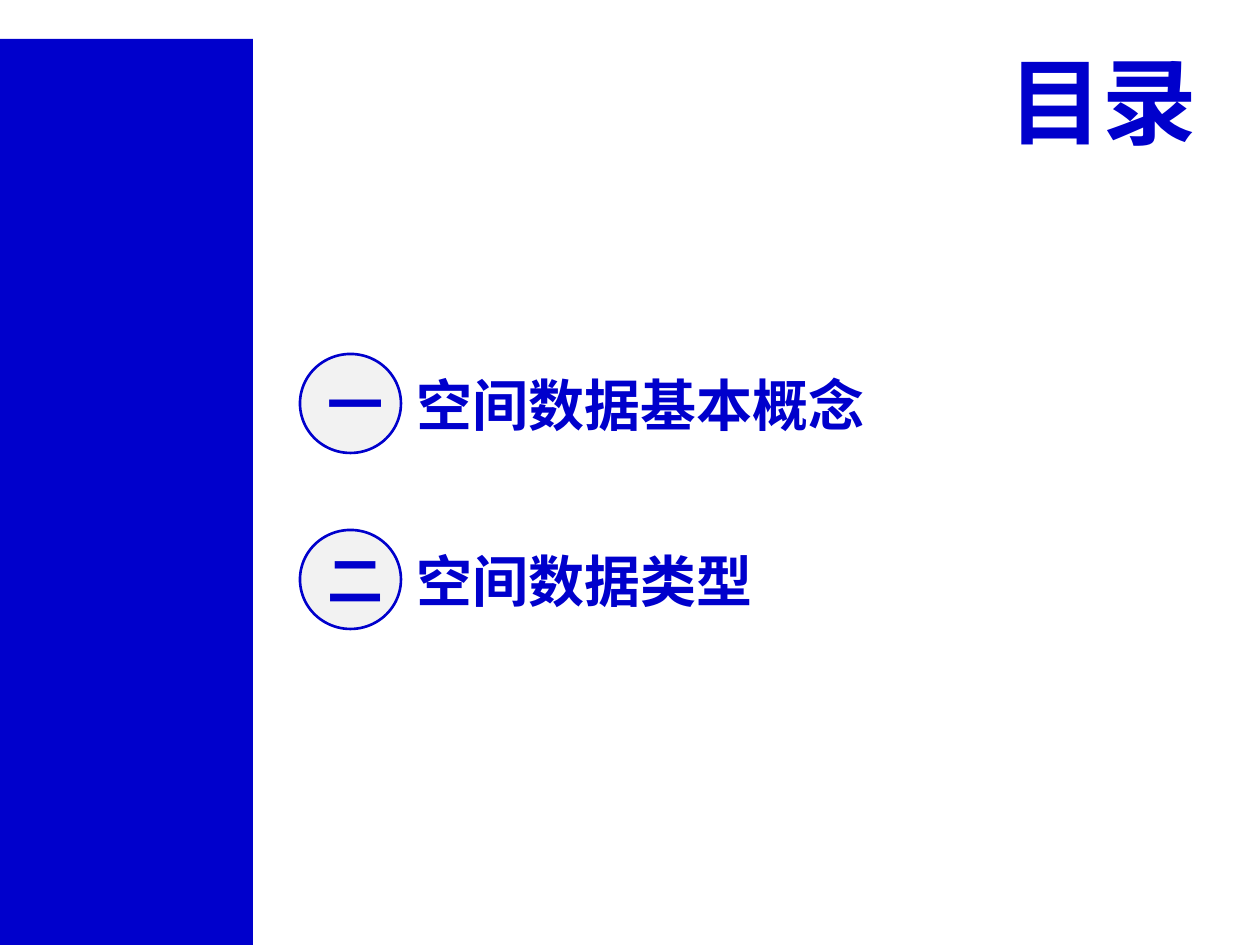
"""Build a contents slide with a side bar, a title and numbered topics."""
import pptx
import pptx.dml.color
import pptx.enum.shapes
import pptx.enum.text
import pptx.oxml.ns
import pptx.util
import lxml.etree

PX = 914400 // 126
THEME = {
    "blue": pptx.dml.color.RGBColor.from_string("0000CC"),
    "pale": pptx.dml.color.RGBColor.from_string("F2F2F2"),
    "latin": "Arial",
    "cjk": "Noto Sans CJK SC",
    "title": pptx.util.Pt(54),
    "topic": pptx.util.Pt(32),
    "outline": pptx.util.Pt(1.5),
}
ALIGN = pptx.enum.text.PP_ALIGN
ANCHOR = pptx.enum.text.MSO_ANCHOR
SHAPE = pptx.enum.shapes.MSO_SHAPE


def px(*lengths):
    return [length * PX for length in lengths]


def write(holder, wording, size, face, align, anchor):
    frame = holder.text_frame
    frame_format = {
        "word_wrap": True,
        "auto_size": pptx.enum.text.MSO_AUTO_SIZE.NONE,
        "vertical_anchor": anchor,
    }
    for key, value in frame_format.items():
        setattr(frame, key, value)
    paragraph = frame.paragraphs[0]
    paragraph.alignment = align
    run = paragraph.add_run()
    run.text = wording
    for key, value in {"name": face, "size": size, "bold": True}.items():
        setattr(run.font, key, value)
    run.font.color.rgb = THEME["blue"]
    east_asian = lxml.etree.SubElement(run._r.get_or_add_rPr(), pptx.oxml.ns.qn("a:ea"))
    east_asian.set("typeface", THEME["cjk"])


deck = pptx.Presentation()
deck.slide_width, deck.slide_height = px(1260, 945)
slide = deck.slides.add_slide(deck.slide_layouts[5])

side_bar = slide.shapes.add_shape(SHAPE.RECTANGLE, *px(0, 39, 253, 906))
side_bar.shadow.inherit = False
side_bar.fill.solid()
side_bar.fill.fore_color.rgb = THEME["blue"]
side_bar.line.fill.background()

heading = slide.shapes.title
heading.left, heading.top, heading.width, heading.height = px(988, 37, 222, 127)
write(heading, "目录", THEME["title"], THEME["latin"], ALIGN.RIGHT, ANCHOR.TOP)

topics = [("一", "空间数据基本概念"), ("二", "空间数据类型")]
for row, (number, topic) in enumerate(topics):
    top = 354 + row * 176
    badge = slide.shapes.add_shape(SHAPE.OVAL, *px(300, top, 101, 99))
    badge.shadow.inherit = False
    badge.fill.solid()
    badge.fill.fore_color.rgb = THEME["pale"]
    badge.line.color.rgb = THEME["blue"]
    badge.line.width = THEME["outline"]
    write(badge, number, THEME["topic"], THEME["cjk"], ALIGN.CENTER, ANCHOR.MIDDLE)

    label = slide.shapes.add_textbox(*px(404, top + 10, 643, 81))
    write(label, topic, THEME["topic"], THEME["latin"], ALIGN.LEFT, ANCHOR.MIDDLE)

deck.save("out.pptx")
